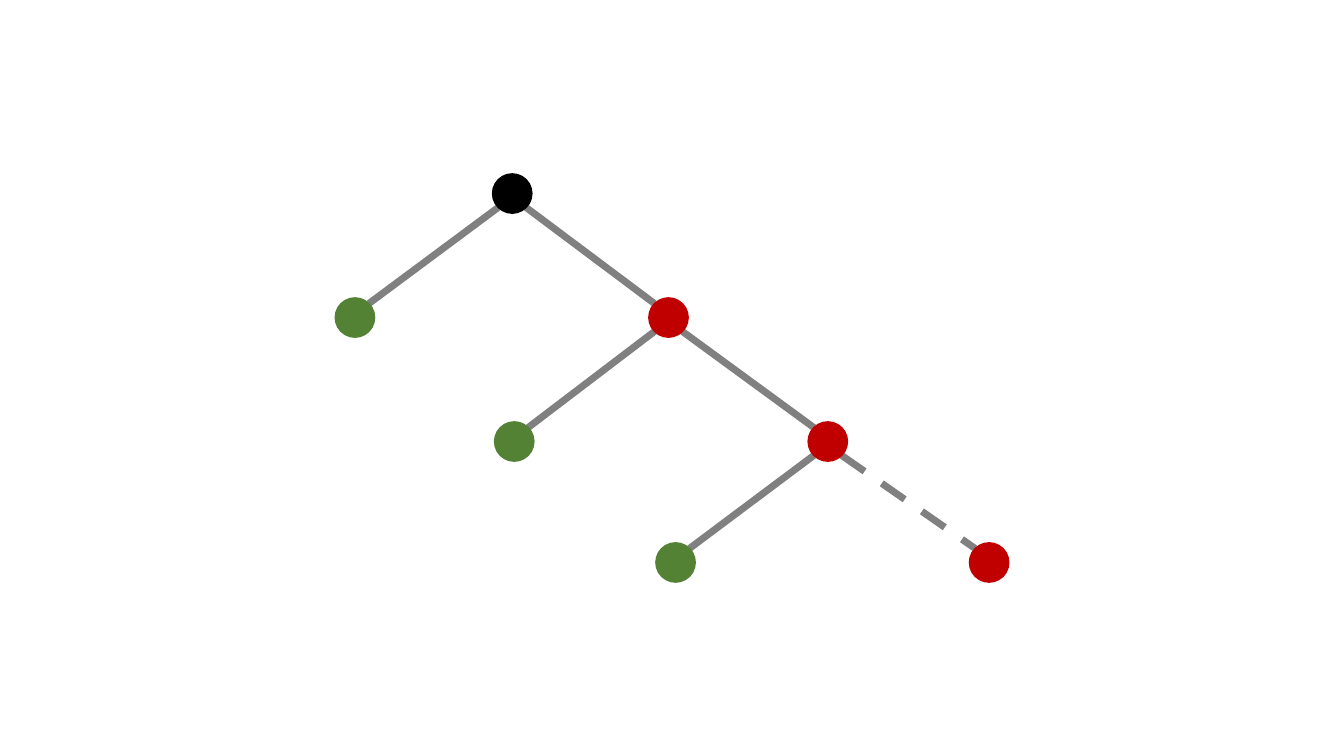
"""Build a slide with a binary tree whose right branch keeps splitting."""
import math

import pptx
import pptx.dml.color
import pptx.enum.dml
import pptx.enum.shapes
import pptx.oxml.ns
import pptx.util
from lxml import etree
from pptx.util import Inches

COLORS = {"root": "000000", "left": "548235", "right": "C00000", "branch": "808080"}
DIAMETER = 0.39
EDGE = DIAMETER / 2 * math.sqrt(0.5)
SPREAD = 3.11

presentation = pptx.Presentation()
presentation.slide_width = Inches(13.33)
presentation.slide_height = Inches(7.5)
slide = presentation.slides.add_slide(presentation.slide_layouts[6])
tree = slide.shapes.add_group_shape()

root = (5.08, 1.92)
nodes = [("root", root)]
branches = []
parent = root
for left_x, y in [(3.52, 3.15), (5.1, 4.38), (6.7, 5.58)]:
    left, right = (left_x, y), (left_x + SPREAD, y)
    nodes += [("right", right), ("left", left)]
    branches += [(parent, left, -EDGE), (parent, right, EDGE)]
    parent = right

for start, end, shift in branches:
    branch = tree.shapes.add_connector(
        pptx.enum.shapes.MSO_CONNECTOR.STRAIGHT,
        Inches(start[0] + shift), Inches(start[1] + EDGE),
        Inches(end[0] - shift), Inches(end[1] - EDGE),
    )
    branch.line.color.rgb = pptx.dml.color.RGBColor.from_string(COLORS["branch"])
    branch.line.width = pptx.util.Pt(5)
    if end == parent:
        branch.line.dash_style = pptx.enum.dml.MSO_LINE.DASH
    properties = branch.element.find(pptx.oxml.ns.qn("p:spPr"))
    etree.SubElement(properties, pptx.oxml.ns.qn("a:effectLst"))

for role, (x, y) in nodes:
    node = tree.shapes.add_shape(
        pptx.enum.shapes.MSO_SHAPE.OVAL,
        Inches(x - DIAMETER / 2), Inches(y - DIAMETER / 2),
        Inches(DIAMETER), Inches(DIAMETER),
    )
    color = pptx.dml.color.RGBColor.from_string(COLORS[role])
    node.shadow.inherit = False
    node.fill.solid()
    node.fill.fore_color.rgb = color
    node.line.color.rgb = color
    node.line.width = pptx.util.Pt(1)

presentation.save("out.pptx")
